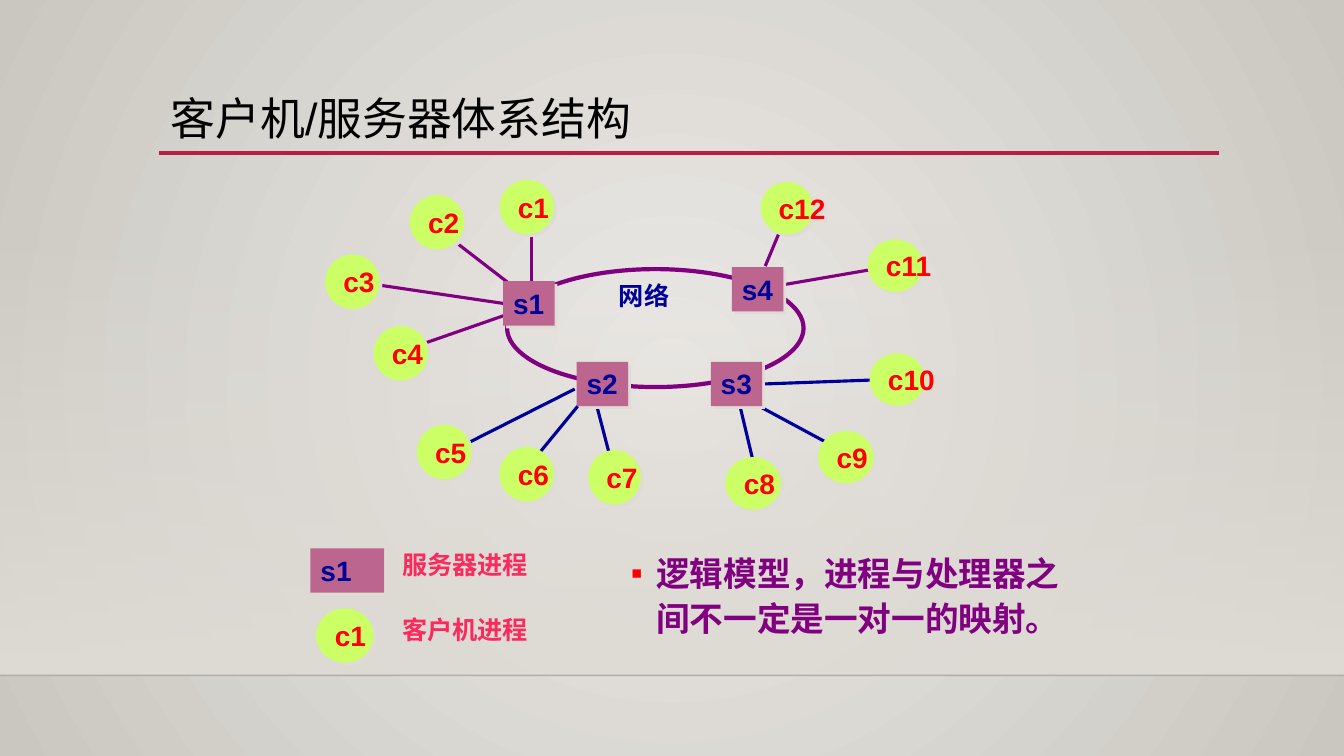
"""Build a slide showing the client/server architecture as a network of processes."""
from lxml import etree
from pptx import Presentation
from pptx.dml.color import RGBColor
from pptx.enum.shapes import MSO_CONNECTOR, MSO_SHAPE
from pptx.enum.text import MSO_ANCHOR, PP_ALIGN
from pptx.oxml.ns import qn
from pptx.util import Inches, Pt

STRAIGHT = MSO_CONNECTOR.STRAIGHT
RECTANGLE, OVAL = MSO_SHAPE.RECTANGLE, MSO_SHAPE.OVAL
TOP, MIDDLE = MSO_ANCHOR.TOP, MSO_ANCHOR.MIDDLE
LEFT = PP_ALIGN.LEFT
FONT = "Arial"
COLORS = {
    "glow": "ECEAE7", "edge": "CAC7C1", "wall": "DFDBD5", "floor": "000001",
    "rule": "B71E42", "title": "000000", "purple": "800080", "navy": "000099",
    "red": "FF0000", "pink": "FA2B5C", "server": "BC658E", "client": "CCFF66",
}
RGB = {name: RGBColor.from_string(value) for name, value in COLORS.items()}


def write(shape, text, size, color, anchor=TOP, wrap=True, bold=True):
    """Put one left-aligned paragraph into a shape and return it."""
    frame = shape.text_frame
    frame.text = text
    frame.word_wrap = wrap
    frame.vertical_anchor = anchor
    paragraph = frame.paragraphs[0]
    paragraph.alignment = LEFT
    font = paragraph.runs[0].font
    font.name, font.size, font.bold = FONT, Pt(size), bold
    font.color.rgb = RGB[color]
    return paragraph


def add_process(kind, label, left, top, width, height):
    """Add a server rectangle or a client circle with its label and shadow."""
    is_server = kind == "server"
    shape = slide.shapes.add_shape(RECTANGLE if is_server else OVAL, Inches(left),
                                   Inches(top), Inches(width), Inches(height))
    shape.fill.solid()
    shape.fill.fore_color.rgb = RGB[kind]
    if is_server:
        shape.line.fill.background()
        write(shape, label, 20, "navy")
    else:
        shape.line.color.rgb = RGB[kind]
        shape.line.width = Pt(0.75)
        write(shape, label, 20, "red", MIDDLE, wrap=False)
    shape.shadow.inherit = False
    effects = shape.element.spPr.find(qn("a:effectLst"))
    shadow = etree.SubElement(effects, qn("a:outerShdw"), dist=str(Pt(2.8)),
                              dir="2700000", algn="ctr", rotWithShape="0")
    etree.SubElement(shadow, qn("a:srgbClr"), val=COLORS["wall"])
    return shape


presentation = Presentation()
presentation.slide_width, presentation.slide_height = Inches(13.33), Inches(7.5)
slide = presentation.slides.add_slide(presentation.slide_layouts[5])

background = slide.background.fill
background.gradient()
for stop, name in zip(background.gradient_stops, ("glow", "edge")):
    stop.color.rgb = RGB[name]
gradient = slide.element.find(".//" + qn("a:gradFill"))
gradient.remove(gradient.find(qn("a:lin")))
circle_path = etree.SubElement(gradient, qn("a:path"))
circle_path.set("path", "circle")
etree.SubElement(circle_path, qn("a:fillToRect"), l="50000", t="50000", r="50000", b="50000")

wall = slide.shapes.add_shape(RECTANGLE, 0, Inches(2.21), Inches(13.33), Inches(4.49))
wall.shadow.inherit = False
wall.line.fill.background()
wall.fill.gradient()
wall.fill.gradient_angle = 270
for stop in wall.fill.gradient_stops:
    stop.color.rgb = RGB["wall"]
etree.SubElement(wall.element.spPr.find(".//" + qn("a:srgbClr")), qn("a:alpha"), val="0")

LINES = [
    ("floor", 0, 6.7, 13.33, 6.7, "floor", 1),
    ("rule", 1.58, 1.52, 12.09, 1.52, "rule", 2.5),
    ("c3", 3.77, 2.83, 4.99, 3.01, "purple", 2.25),
    ("c4", 4.14, 3.43, 5.03, 3.12, "purple", 2.25),
    ("c2", 4.49, 2.38, 5.06, 2.82, "purple", 2.25),
    ("c1", 5.27, 2.24, 5.27, 2.82, "purple", 2.25),
    ("c12", 7.74, 2.28, 7.59, 2.64, "purple", 2.25),
    ("c11", 8.67, 2.67, 7.74, 2.83, "purple", 2.25),
    ("c7", 6.05, 4.53, 5.92, 4.03, "navy", 2.25),
    ("c5", 4.63, 4.4, 5.7, 3.86, "navy", 2.25),
    ("c6", 5.32, 4.53, 5.73, 4.03, "navy", 2.25),
    ("c8", 7.48, 4.62, 7.34, 4.03, "navy", 2.25),
    ("c10", 8.66, 3.77, 7.57, 3.83, "navy", 2.25),
    ("c9", 8.18, 4.38, 7.53, 4.03, "navy", 2.25),
]
links = {}
for name, x1, y1, x2, y2, color, width in LINES:
    line = slide.shapes.add_connector(STRAIGHT, Inches(x1), Inches(y1), Inches(x2), Inches(y2))
    line.line.color.rgb = RGB[color]
    line.line.width = Pt(width)
    etree.SubElement(line.element.spPr, qn("a:effectLst"))
    links[name] = line
floor_color = links["floor"].element.spPr.find(".//" + qn("a:srgbClr"))
etree.SubElement(floor_color, qn("a:alpha"), val="20000")

title = slide.shapes.title
title.left, title.top, title.width, title.height = (
    Inches(1.59), Inches(0.9), Inches(8.5), Inches(0.61))
write(title, "客户机/服务器体系结构", 32, "title", MIDDLE, bold=False).line_spacing = 0.9

CLIENTS = [
    ("c5", 4.14, 4.22, 0.53, 0.53), ("c11", 8.61, 2.38, 0.54, 0.51),
    ("c12", 7.55, 1.81, 0.51, 0.51), ("c6", 4.96, 4.44, 0.53, 0.53),
    ("c7", 5.84, 4.47, 0.51, 0.53), ("c10", 8.63, 3.51, 0.54, 0.51),
    ("c8", 7.2, 4.54, 0.54, 0.51), ("c9", 8.12, 4.28, 0.54, 0.51),
    ("c1", 4.96, 1.79, 0.53, 0.53), ("c2", 4.07, 1.94, 0.53, 0.53),
    ("c3", 3.23, 2.53, 0.53, 0.53), ("c4", 3.71, 3.24, 0.53, 0.53),
]
for client in CLIENTS:
    add_process("client", *client)

ring = slide.shapes.add_shape(OVAL, Inches(5.03), Inches(2.67), Inches(2.94), Inches(1.17))
ring.shadow.inherit = False
ring.fill.background()
ring.line.color.rgb = RGB["purple"]
ring.line.width = Pt(3)

servers = {}
for label, left, top in [("s1", 4.99, 2.79), ("s2", 5.72, 3.59),
                         ("s3", 7.05, 3.59), ("s4", 7.26, 2.65)]:
    servers[label] = add_process("server", label, left, top, 0.51, 0.44)
links["c3"].end_connect(servers["s1"], 1)
links["c10"].end_connect(servers["s3"], 3)

add_process("server", "s1", 3.08, 5.44, 0.73, 0.44)
add_process("client", "c1", 3.14, 6.04, 0.56, 0.53)

for text, left, top, width, color in [("网络", 6.04, 2.73, 0.7, "navy"),
                                      ("服务器进程", 3.89, 5.4, 1.46, "pink"),
                                      ("客户机进程", 3.89, 6.05, 1.46, "pink")]:
    caption = slide.shapes.add_textbox(Inches(left), Inches(top), Inches(width), Inches(0.4))
    write(caption, text, 18, color, wrap=False)

note = slide.shapes.add_textbox(Inches(6.16), Inches(5.4), Inches(4.75), Inches(1.17))
paragraph = write(note, "逻辑模型，进程与处理器之间不一定是一对一的映射。", 24, "purple")
paragraph.line_spacing = 1.1
paragraph.space_before = Pt(10)
properties = paragraph._p.get_or_add_pPr()
properties.set("marL", str(Inches(0.25)))
properties.set("indent", str(Inches(-0.25)))
bullet_color = etree.SubElement(properties, qn("a:buClr"))
etree.SubElement(bullet_color, qn("a:srgbClr"), val=COLORS["red"])
etree.SubElement(properties, qn("a:buFont"), typeface=FONT)
etree.SubElement(properties, qn("a:buChar"), char="▪")

presentation.save("out.pptx")
